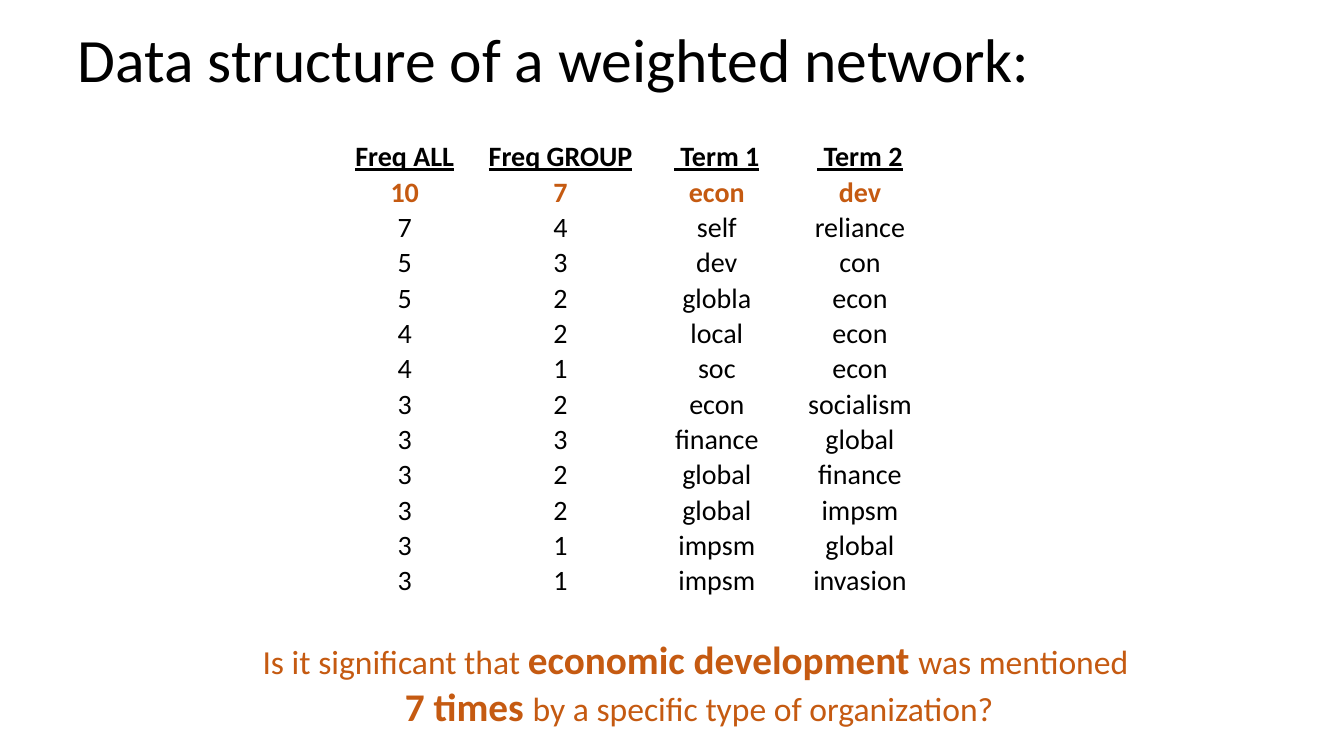
from pptx import Presentation
from pptx import util as u
from pptx.dml.color import RGBColor
from pptx.enum import text

BLACK = RGBColor(0x00, 0x00, 0x00)
ORANGE = RGBColor(0xC5, 0x5A, 0x11)
FONT = "Calibri"

TITLE = "Data structure of a weighted network:"
HEADER = ("Freq ALL", "Freq GROUP", " Term 1", " Term 2")
PAIRS = [
    (10, 7, "econ", "dev"),
    (7, 4, "self", "reliance"),
    (5, 3, "dev", "con"),
    (5, 2, "globla", "econ"),
    (4, 2, "local", "econ"),
    (4, 1, "soc", "econ"),
    (3, 2, "econ", "socialism"),
    (3, 3, "finance", "global"),
    (3, 2, "global", "finance"),
    (3, 2, "global", "impsm"),
    (3, 1, "impsm", "global"),
    (3, 1, "impsm", "invasion"),
]
# Each line of the question: (words, emphasised)
QUESTION = [
    [("Is it significant that ", False), ("economic development ", True),
     ("was mentioned ", False)],
    [("7 times ", True), ("by a specific type of organization?", False)],
]

COLUMNS = (1.41, 1.68, 1.42, 1.42)
ROW = 0.34
ROW_STYLES = {
    0: dict(bold=True, underline=True),
    1: dict(bold=True, color=ORANGE),
}


def write(paragraph, words, size, color=BLACK, bold=False, underline=False):
    run = paragraph.add_run()
    run.text = words
    font = run.font
    font.name, font.size = FONT, u.Pt(size)
    font.bold, font.underline = bold, underline
    font.color.rgb = color


def add_box(slide, left, top, width, height, anchor, wrap=True):
    frame = slide.shapes.add_textbox(
        *map(u.Inches, (left, top, width, height))).text_frame
    frame.word_wrap = wrap
    frame.vertical_anchor = anchor
    return frame


def add_pairs_table(slide, left, top):
    rows = [HEADER, *PAIRS]
    table = slide.shapes.add_table(
        len(rows), len(COLUMNS), u.Inches(left), u.Inches(top),
        u.Inches(sum(COLUMNS)), u.Inches(ROW * len(rows))).table
    table.first_row = table.horz_banding = False
    for column, width in zip(table.columns, COLUMNS):
        column.width = u.Inches(width)
    for r, values in enumerate(rows):
        table.rows[r].height = u.Inches(ROW)
        for c, value in enumerate(values):
            cell = table.cell(r, c)
            cell.fill.background()
            cell.vertical_anchor = text.MSO_ANCHOR.BOTTOM
            cell.margin_left = cell.margin_right = cell.margin_top = u.Inches(0.01)
            cell.margin_bottom = 0
            paragraph = cell.text_frame.paragraphs[0]
            paragraph.alignment = text.PP_ALIGN.CENTER
            write(paragraph, str(value), 20, **ROW_STYLES.get(r, {}))


def main():
    deck = Presentation()
    deck.slide_width, deck.slide_height = u.Inches(13.33), u.Inches(7.5)
    slide = deck.slides.add_slide(deck.slide_layouts[6])

    add_pairs_table(slide, 3.31, 1.38)

    title = add_box(slide, 0.67, 0, 12, 1.25, text.MSO_ANCHOR.MIDDLE).paragraphs[0]
    title.line_spacing = 0.9
    write(title, TITLE, 44)

    frame = add_box(slide, 2.46, 6.25, 8.95, 1.04, text.MSO_ANCHOR.TOP, wrap=False)
    frame.auto_size = text.MSO_AUTO_SIZE.SHAPE_TO_FIT_TEXT
    question = frame.paragraphs[0]
    question.alignment = text.PP_ALIGN.CENTER
    for number, line in enumerate(QUESTION):
        if number:
            question.add_line_break()
        for words, strong in line:
            write(question, words, 28 if strong else 24, ORANGE, bold=strong)

    deck.save("out.pptx")


if __name__ == "__main__":
    main()
